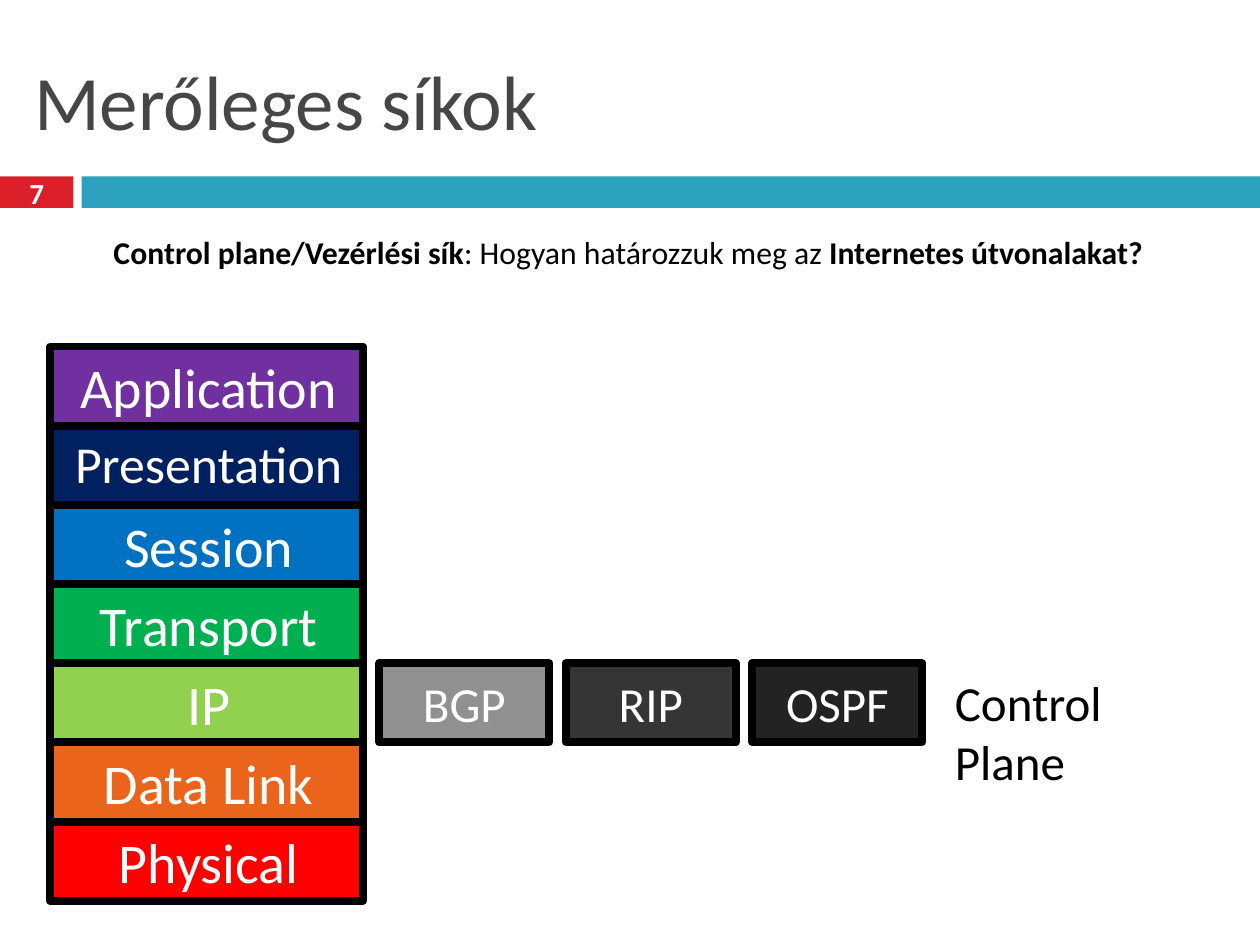
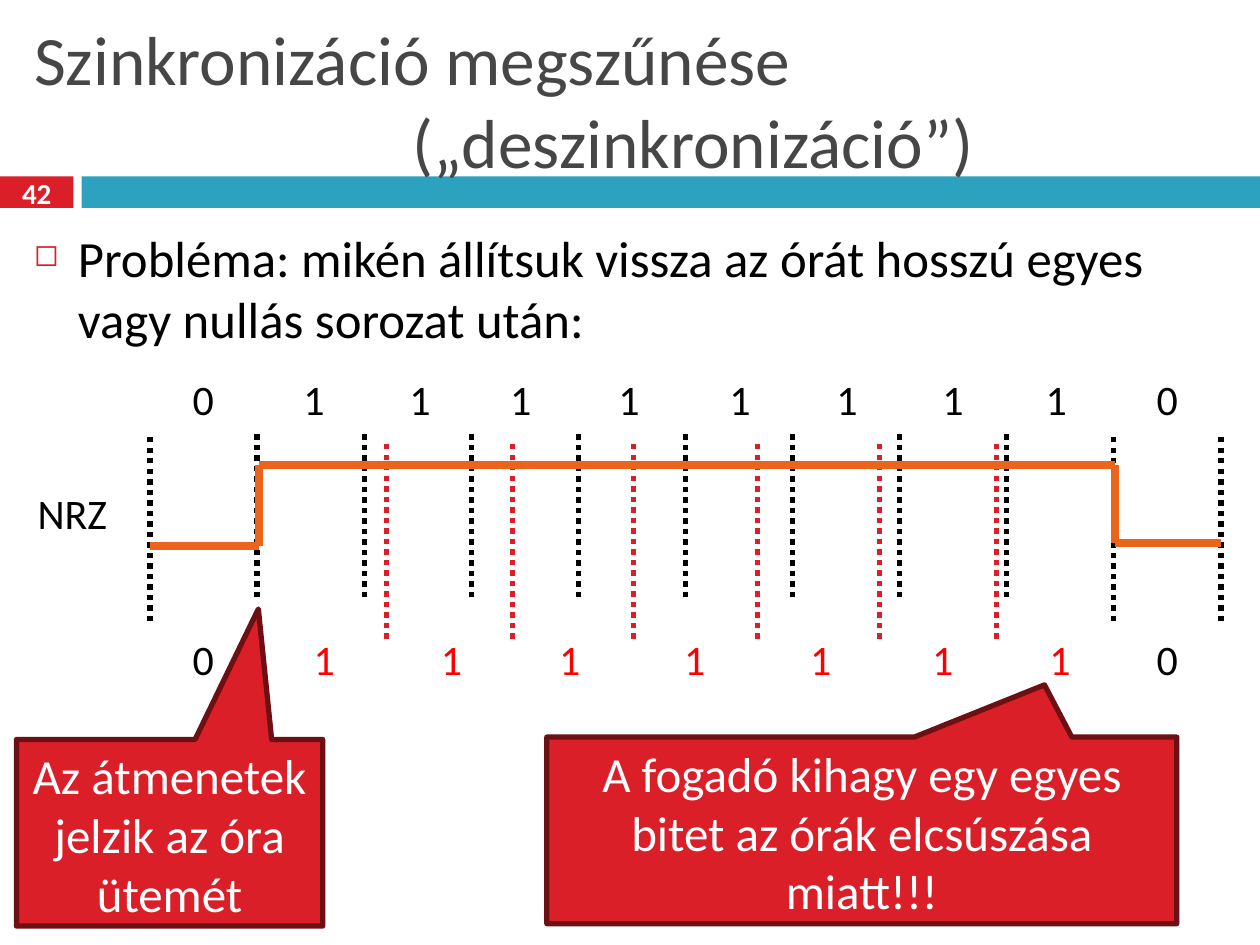
import dataclasses
import itertools
import typing

import pptx
import pptx.dml.color
import pptx.enum.dml
import pptx.enum.shapes
import pptx.enum.text
import pptx.oxml.ns
import pptx.util
from lxml import etree

Pt = pptx.util.Pt
Align = pptx.enum.text.PP_ALIGN
Anchor = pptx.enum.text.MSO_ANCHOR
Kind = pptx.enum.shapes.MSO_SHAPE
Point = tuple[float, float]


@dataclasses.dataclass(frozen=True)
class Theme:
    font: str = "Calibri"
    title: str = "464646"
    red: str = "DA1F28"
    teal: str = "2DA2BF"
    orange: str = "EB641B"
    wine: str = "6D1014"
    alert: str = "FF0000"
    black: str = "000000"
    white: str = "FFFFFF"
    head: float = 44
    long: float = 39.6
    number: float = 16.6
    lead: float = 18.1
    body: float = 29
    layer: float = 32
    tight: float = 29.6
    label: float = 28
    digit: float = 24
    thick: float = 4.5
    thin: float = 3


THEME = Theme()


class Area(typing.NamedTuple):
    left: float
    top: float
    width: float
    height: float


class Run(typing.NamedTuple):
    text: str
    size: float
    color: str = THEME.black
    bold: bool = False


@dataclasses.dataclass(frozen=True)
class Box:
    area: Area
    fill: str
    runs: tuple[Run, ...] = ()
    edge: str | None = None
    weight: float = THEME.thick
    anchor: Anchor = Anchor.MIDDLE
    insets: tuple[float, float, float, float] = (7.2, 3.6, 7.2, 3.6)
    kind: Kind = Kind.RECTANGLE
    tip: Point = ()


@dataclasses.dataclass(frozen=True)
class Label:
    area: Area
    runs: tuple[Run, ...]
    align: Align = Align.LEFT
    anchor: Anchor = Anchor.TOP
    wrap: bool = True


@dataclasses.dataclass(frozen=True)
class Stroke:
    start: Point
    end: Point
    color: str
    weight: float
    dotted: bool = False


def tint(color: str) -> pptx.dml.color.RGBColor:
    return pptx.dml.color.RGBColor.from_string(color)


def write(para, runs: tuple[Run, ...], align: Align) -> None:
    para.alignment = align
    for item in runs:
        run = para.add_run()
        run.text = item.text
        run.font.name = THEME.font
        run.font.size = Pt(item.size)
        run.font.bold = item.bold
        run.font.color.rgb = tint(item.color)


def draw_box(slide, box: Box) -> None:
    shape = slide.shapes.add_shape(box.kind, *map(Pt, box.area))
    shape.shadow.inherit = False
    shape.fill.solid()
    shape.fill.fore_color.rgb = tint(box.fill)
    if box.edge:
        shape.line.color.rgb = tint(box.edge)
        shape.line.width = Pt(box.weight)
    else:
        shape.line.fill.background()
    for index, value in enumerate(box.tip):
        shape.adjustments[index] = value
    if box.runs:
        frame = shape.text_frame
        frame.word_wrap = True
        frame.vertical_anchor = box.anchor
        (frame.margin_left, frame.margin_top,
         frame.margin_right, frame.margin_bottom) = map(Pt, box.insets)
        write(frame.paragraphs[0], box.runs, Align.CENTER)


def draw_label(slide, label: Label):
    frame = slide.shapes.add_textbox(*map(Pt, label.area)).text_frame
    frame.word_wrap = label.wrap
    frame.vertical_anchor = label.anchor
    write(frame.paragraphs[0], label.runs, label.align)
    return frame.paragraphs[0]


def draw_line(slide, stroke: Stroke) -> None:
    line = slide.shapes.add_connector(
        pptx.enum.shapes.MSO_CONNECTOR.STRAIGHT,
        *map(Pt, (*stroke.start, *stroke.end)))
    line.line.color.rgb = tint(stroke.color)
    line.line.width = Pt(stroke.weight)
    if stroke.dotted:
        line.line.dash_style = pptx.enum.dml.MSO_LINE.ROUND_DOT
    props = line.element.find(pptx.oxml.ns.qn("p:spPr"))
    etree.SubElement(props, pptx.oxml.ns.qn("a:effectLst"))


def indent(para, left: float, first: float = 0) -> typing.Any:
    props = para._p.get_or_add_pPr()
    props.set("marL", str(Pt(left)))
    props.set("indent", str(Pt(first)))
    return props


def add_bullet(para) -> None:
    props = indent(para, 25.2, -25.2)
    name = pptx.oxml.ns.qn
    color = etree.SubElement(props, name("a:buClr"))
    etree.SubElement(color, name("a:srgbClr"), val=THEME.red)
    etree.SubElement(props, name("a:buSzPct"), val="60000")
    etree.SubElement(props, name("a:buChar"), char="◻")


def start_slide(deck, number: int, lines: tuple[str, ...], size: float):
    slide = deck.slides.add_slide(deck.slide_layouts[5])
    draw_box(slide, Box(Area(0, 100.8, 42, 18), THEME.red))
    draw_box(slide, Box(Area(46.6, 100.8, 673.4, 18), THEME.teal))
    title = slide.shapes.title
    title.left, title.top, title.width, title.height = map(
        Pt, (12.24, 18, 696, 77.8))
    frame = title.text_frame
    frame.auto_size = pptx.enum.text.MSO_AUTO_SIZE.NONE
    frame.word_wrap = True
    frame.vertical_anchor = Anchor.MIDDLE
    for index, text in enumerate(lines):
        para = frame.add_paragraph() if index else frame.paragraphs[0]
        write(para, (Run(text, size, THEME.title),), Align.LEFT)
        indent(para, 216 * index)
    title.element.getparent().append(title.element)
    draw_label(slide, Label(
        Area(0, 98.6, 42, 23.8),
        (Run(str(number), THEME.number, THEME.white, True),),
        Align.CENTER, Anchor.MIDDLE))
    return slide


def build_planes(deck) -> None:
    slide = start_slide(deck, 7, ("Merőleges síkok",), THEME.head)
    top, pitch = 198, 45.25
    layers = (
        ("Application", "7030A0"), ("Presentation", "002060"),
        ("Session", "0070C0"), ("Transport", "00B050"), ("IP", "92D050"),
        ("Data Link", THEME.orange), ("Physical", THEME.alert))
    for row, (name, fill) in enumerate(layers):
        size = THEME.tight if name == "Presentation" else THEME.layer
        draw_box(slide, Box(
            Area(28.8, top + row * pitch, 178.6, pitch), fill,
            (Run(name, size, THEME.white),), THEME.black,
            anchor=Anchor.TOP, insets=(9.4, 3.6, 7.2, 0)))
    level = top + 4 * pitch
    routes = (("BGP", "909090"), ("RIP", "353535"), ("OSPF", "232323"))
    for column, (name, fill) in enumerate(routes):
        draw_box(slide, Box(
            Area(216.7 + column * 106.6, level, 97.2, pitch), fill,
            (Run(name, THEME.label, THEME.white),), THEME.black))
    draw_label(slide, Label(
        Area(538.6, 380.9, 160, 41), (Run("Control Plane", THEME.label),)))
    draw_label(slide, Label(
        Area(49, 129.6, 620, 42.5),
        (Run("Control plane/Vezérlési sík", THEME.lead, bold=True),
         Run(": Hogyan határozzuk meg az ", THEME.lead),
         Run("Internetes útvonalakat?", THEME.lead, bold=True)),
        Align.CENTER))


def draw_bits(slide, bits: str, lefts: tuple[float, ...], top: float,
              one: str) -> None:
    for bit, left in zip(bits, lefts):
        color = one if bit == "1" else THEME.black
        draw_label(slide, Label(
            Area(left, top, 28, 36), (Run(bit, THEME.digit, color),),
            wrap=False))


def build_sync(deck) -> None:
    slide = start_slide(
        deck, 42, ("Szinkronizáció megszűnése", "(„deszinkronizáció”)"),
        THEME.long)
    add_bullet(draw_label(slide, Label(
        Area(12.24, 126, 696, 401.8),
        (Run("Probléma: mikén állítsuk vissza az órát hosszú egyes "
             "vagy nullás sorozat után:", THEME.body),))))

    for left in (221, 293, 362.2, 432.7, 502.6, 569.5):
        draw_line(slide, Stroke(
            (left, 365), (left, 253.4), THEME.red, THEME.thin, True))
    for tick in range(11):
        left = 85.7 + tick * 61.2
        base = 355 if tick in (0, 9, 10) else 341.3
        draw_line(slide, Stroke(
            (left, base), (left, 247), THEME.black, THEME.thin, True))

    draw_label(slide, Label(
        Area(14.4, 275, 54.7, 36), (Run("NRZ", THEME.digit),), wrap=False))
    signal = ((85.7, 311.8), (148, 311.8), (148, 265.5), (637, 265.5),
              (637, 310.3), (697.7, 310.3))
    for start, end in itertools.pairwise(signal):
        draw_line(slide, Stroke(start, end, THEME.orange, THEME.thick))

    notes = (
        (Area(9.4, 422.6, 175, 106.6), (0.29, -1.2),
         "Az átmenetek jelzik az óra ütemét"),
        (Area(312.5, 421.2, 360, 106.6), (0.29, -0.78),
         "A fogadó kihagy egy egyes bitet az órák elcsúszása miatt!!!"))
    for area, tip, text in notes:
        draw_box(slide, Box(
            area, THEME.red, (Run(text, THEME.label, THEME.white),),
            THEME.wine, THEME.thin, Anchor.TOP, (7.2, 3.6, 7.2, 0),
            Kind.RECTANGULAR_CALLOUT, tip))

    draw_bits(slide, "0111111110",
              (103, 166.3, 226.8, 284.4, 346.3, 409.7, 470.9, 531.4, 590.4,
               653.8), 210.2, THEME.black)
    draw_bits(slide, "011111110",
              (103, 172.1, 244.8, 312.5, 383.8, 455.8, 525.6, 592.6, 653.8),
              358.2, THEME.alert)


def main() -> None:
    deck = pptx.Presentation()
    deck.slide_width, deck.slide_height = Pt(720), Pt(540)
    build_planes(deck)
    build_sync(deck)
    deck.save("out.pptx")


if __name__ == "__main__":
    main()
